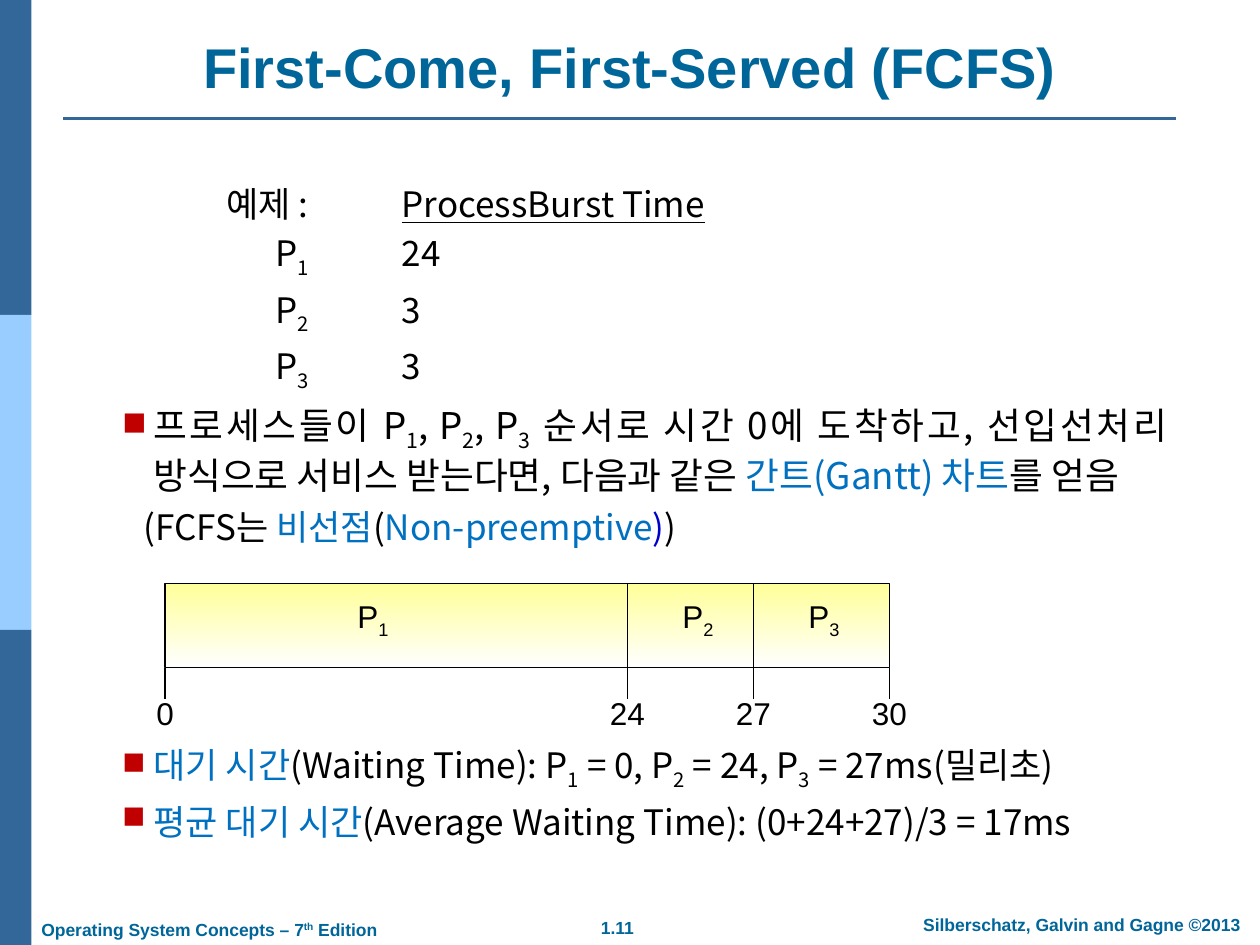
"""Build the First-Come, First-Served scheduling slide with its Gantt chart."""
import dataclasses
import typing

import lxml.etree
import pptx
import pptx.dml.color
import pptx.enum.shapes
import pptx.enum.text
import pptx.oxml.ns
import pptx.util

Inches = pptx.util.Inches
Pt = pptx.util.Pt
ALIGN = pptx.enum.text.PP_ALIGN
ANCHOR = pptx.enum.text.MSO_ANCHOR


@dataclasses.dataclass(frozen=True)
class Theme:
    heading: str = "006699"
    dark: str = "336699"
    light: str = "99CCFF"
    ink: str = "000000"
    term: str = "0070C0"
    bracket: str = "0000CC"
    bullet: str = "C00000"
    bar_top: str = "FFFF99"
    bar_bottom: str = "FFFFFF"
    latin: str = "Arial"
    korean: str = "Noto Sans CJK KR"
    title_size: float = 32
    lead_size: float = 21
    body_size: float = 20
    chart_size: float = 18
    footer_size: float = 10
    body_line: float = 28
    lead_line: float = 25


THEME = Theme()


class Run(typing.NamedTuple):
    text: str
    color: str = THEME.ink
    baseline: int = 0
    underline: bool = False


class Style(typing.NamedTuple):
    font: str
    size: float
    bold: bool = False


class Line(typing.NamedTuple):
    runs: list[Run]
    before: float = 0
    size: float = THEME.body_size
    margin: float = 0.25
    indent: float = 0
    bullet: bool = False
    spacing: float = THEME.body_line


class Segment(typing.NamedTuple):
    number: str
    label_center: float
    end: float
    end_time: str


TITLE = Style(THEME.latin, THEME.title_size, True)
FOOTER = Style(THEME.latin, THEME.footer_size, True)
CHART = Style(THEME.latin, THEME.chart_size)


def color(value: str) -> pptx.dml.color.RGBColor:
    """Turn a hex string into a colour."""
    return pptx.dml.color.RGBColor.from_string(value)


def add_element(parent, tag: str, **attributes: str):
    """Append one DrawingML element."""
    return lxml.etree.SubElement(parent, pptx.oxml.ns.qn(tag), attributes)


def process(number: str, lead: str = "") -> list[Run]:
    """Name a process with its subscript number."""
    return [Run(lead + "P"), Run(number, baseline=-25)]


def add_runs(paragraph, runs: list[Run], style: Style) -> None:
    """Write formatted runs into a paragraph."""
    for item in runs:
        run = paragraph.add_run()
        run.text = item.text
        formats = {"name": style.font, "size": Pt(style.size), "bold": style.bold}
        if item.underline:
            formats["underline"] = True
        for name, value in formats.items():
            setattr(run.font, name, value)
        run.font.color.rgb = color(item.color)
        properties = run._r.get_or_add_rPr()
        add_element(properties, "a:ea", typeface=style.font)
        if item.baseline:
            properties.set("baseline", str(item.baseline * 1000))


def add_frame(slide, left: float, top: float, width: float, height: float, **formats):
    """Add a text box and return its frame."""
    frame = slide.shapes.add_textbox(Inches(left), Inches(top), Inches(width), Inches(height)).text_frame
    for name, value in formats.items():
        setattr(frame, name, value)
    return frame


def add_label(slide, place: tuple, runs: list[Run], style: Style, align=ALIGN.CENTER, anchor=ANCHOR.MIDDLE) -> None:
    """Add a one-line label."""
    paragraph = add_frame(slide, *place, word_wrap=True, vertical_anchor=anchor).paragraphs[0]
    paragraph.alignment = align
    add_runs(paragraph, runs, style)


def add_rectangle(slide, left: float, top: float, width: float, height: float):
    """Add a rectangle without a shadow."""
    shape = slide.shapes.add_shape(
        pptx.enum.shapes.MSO_SHAPE.RECTANGLE, Inches(left), Inches(top), Inches(width), Inches(height))
    shape.shadow.inherit = False
    return shape


def add_line(slide, start: tuple, end: tuple, line_color: str, width: float) -> None:
    """Add a straight line without a shadow."""
    points = [Inches(value) for value in (*start, *end)]
    connector = slide.shapes.add_connector(pptx.enum.shapes.MSO_CONNECTOR.STRAIGHT, *points)
    connector.line.color.rgb = color(line_color)
    connector.line.width = Pt(width)
    add_element(connector._element.spPr, "a:effectLst")


def add_body(slide, lines: list[Line]) -> None:
    """Add the body text with its process list and bullets."""
    frame = add_frame(slide, 0.87, 1.39, 8.49, 5.76, word_wrap=True, margin_top=0)
    for index, line in enumerate(lines):
        paragraph = frame.add_paragraph() if index else frame.paragraphs[0]
        formats = {
            "alignment": ALIGN.JUSTIFY if line.bullet else ALIGN.LEFT,
            "line_spacing": Pt(line.spacing),
            "space_before": Pt(line.before),
        }
        for name, value in formats.items():
            setattr(paragraph, name, value)
        properties = paragraph._p.get_or_add_pPr()
        properties.set("marL", str(Inches(line.margin)))
        properties.set("indent", str(-Inches(line.margin) if line.bullet else Inches(line.indent)))
        if line.bullet:
            add_element(add_element(properties, "a:buClr"), "a:srgbClr", val=THEME.bullet)
            add_element(properties, "a:buSzPct", val="90000")
            add_element(properties, "a:buChar", char="■")
        add_runs(paragraph, line.runs, Style(THEME.korean, line.size))


def add_gantt(slide, left: float, top: float, height: float, segments: list[Segment]) -> None:
    """Draw the Gantt bar, its dividers, ticks and times."""
    bottom, right = top + height, segments[-1].end
    bar = add_rectangle(slide, left, top, right - left, height)
    bar.fill.gradient()
    bar.fill.gradient_angle = 270
    for stop, value in zip(bar.fill.gradient_stops, (THEME.bar_top, THEME.bar_bottom)):
        stop.color.rgb = color(value)
    bar.line.color.rgb = color(THEME.ink)
    bar.line.width = Pt(0.75)
    for segment in segments:
        add_label(slide, (segment.label_center - 0.35, 4.69, 0.7, 0.44), process(segment.number), CHART)
    for segment in segments[:-1]:
        add_line(slide, (segment.end, top), (segment.end, bottom), THEME.ink, 0.75)
    for edge, time in [(left, "0"), *((segment.end, segment.end_time) for segment in segments)]:
        add_line(slide, (edge, bottom), (edge, bottom + 0.25), THEME.ink, 0.75)
        add_label(slide, (edge - 0.3, 5.46, 0.6, 0.4), [Run(time)], CHART)


def main() -> None:
    """Build and save the slide."""
    presentation = pptx.Presentation()
    presentation.slide_width, presentation.slide_height = Inches(10), Inches(7.5)
    slide = presentation.slides.add_slide(presentation.slide_layouts[6])
    for index, band in enumerate((THEME.dark, THEME.light, THEME.dark)):
        shape = add_rectangle(slide, 0, 2.5 * index, 0.25, 2.5)
        shape.fill.solid()
        shape.fill.fore_color.rgb = color(band)
        shape.line.fill.background()
    add_line(slide, (0.5, 0.94), (9.33, 0.94), THEME.dark, 1.5)
    edition = [Run("Operating System Concepts – 7", THEME.heading), Run("th", THEME.heading, 30),
               Run(" Edition", THEME.heading)]
    add_label(slide, (4.41, 7.23, 0.98, 0.27), [Run("1.11", THEME.heading)], FOOTER)
    add_label(slide, (7.1, 7.2, 2.97, 0.27), [Run("Silberschatz, Galvin and Gagne ©2013", THEME.heading)], FOOTER)
    add_label(slide, (0.23, 7.24, 3.2, 0.27), edition, FOOTER, ALIGN.LEFT)
    add_label(slide, (0.32, 0.24, 9.36, 0.6), [Run("First-Come, First-Served (FCFS)", THEME.heading)], TITLE,
              anchor=ANCHOR.BOTTOM)
    bursts = [("1", "24", 3.5), ("2", "3", 4.4), ("3", "3", 4.4)]
    add_body(slide, [
        Line([Run("예제 :\t\t"), Run("ProcessBurst Time", underline=True)], margin=0.72, indent=0.11),
        *(Line([*process(number), Run("\t\t" + burst)], before, margin=1.22) for number, burst, before in bursts),
        Line([*process("1", "프로세스들이 "), *process("2", ", "), *process("3", ", "),
              Run(" 순서로 시간 0에 도착하고, 선입선처리 방식으로 서비스 받는다면, 다음과 같은 "),
              Run("간트(Gantt) 차트", THEME.term), Run("를 얻음")],
             9.3, THEME.lead_size, bullet=True, spacing=THEME.lead_line),
        Line([Run("(FCFS는 "), Run("비선점", THEME.term), Run("("), Run("Non-preemptive", THEME.term),
              Run(")", THEME.bracket), Run(")")], 1, margin=0.17),
        Line([Run("대기 시간", THEME.term), *process("1", "(Waiting Time): "), *process("2", " = 0, "),
              *process("3", " = 24, "), Run(" = 27ms(밀리초)")], 111.4, bullet=True),
        Line([Run("평균 대기 시간", THEME.term), Run("(Average Waiting Time): (0+24+27)/3 = 17ms")],
             1.2, bullet=True),
    ])
    add_gantt(slide, 1.31, 4.63, 0.67, [
        Segment("1", 2.96, 4.98, "24"), Segment("2", 5.54, 5.98, "27"), Segment("3", 6.54, 7.06, "30")])
    presentation.save("out.pptx")


if __name__ == "__main__":
    main()
